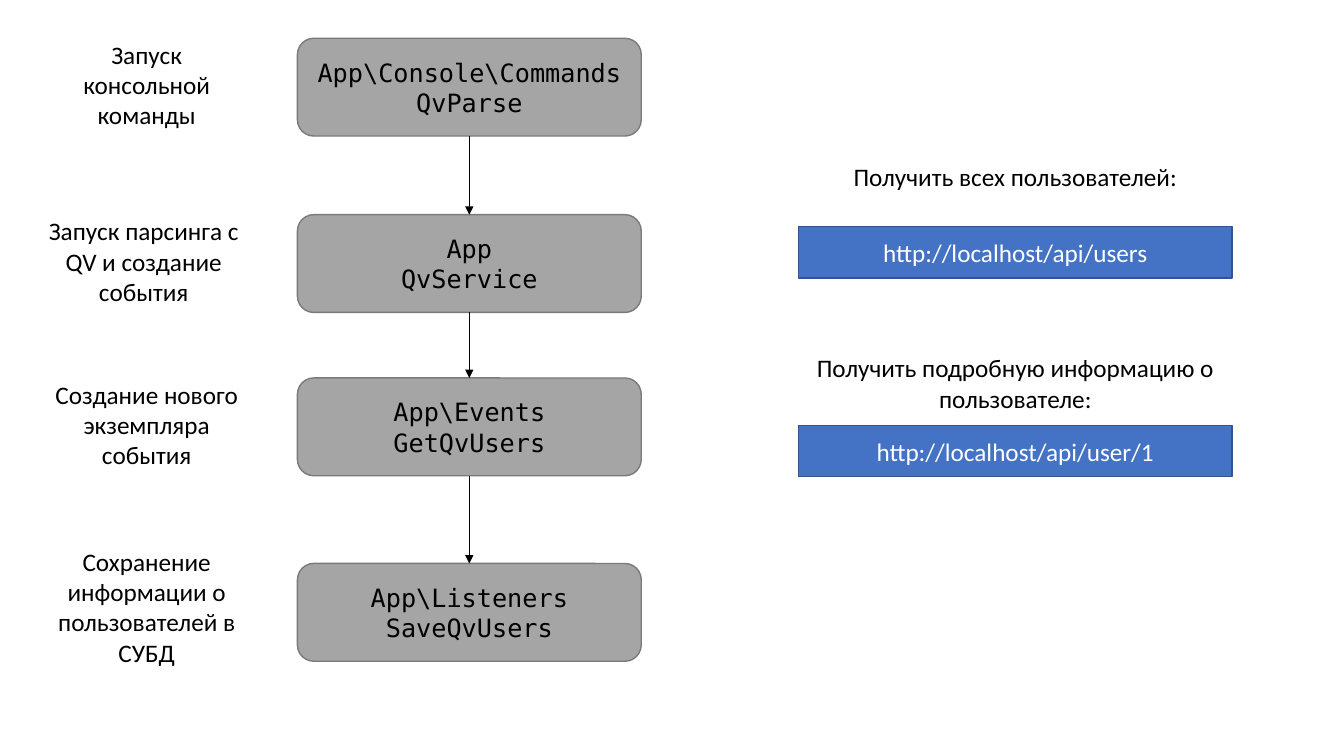
from itertools import pairwise

from lxml.etree import SubElement
from pptx import Presentation
from pptx.dml.color import RGBColor
from pptx.enum.shapes import MSO_CONNECTOR as Connector, MSO_SHAPE as Preset
from pptx.enum.text import MSO_ANCHOR as Anchor, PP_ALIGN as Align
from pptx.oxml.ns import qn
from pptx.util import Inches, Pt

BLACK = RGBColor(0x00, 0x00, 0x00)
WHITE = RGBColor(0xFF, 0xFF, 0xFF)
GRAY = RGBColor(0xA5, 0xA5, 0xA5)
GRAY_EDGE = RGBColor(0x7A, 0x7A, 0x7A)
BLUE = RGBColor(0x44, 0x72, 0xC4)
BLUE_EDGE = RGBColor(0x32, 0x54, 0x91)
SANS, MONO = "Calibri", "DejaVu Sans Mono"

STEPS = [
    (0.38, ["App\\Console\\Commands", "QvParse"],
     0.36, 0.34, 1.01, "Запуск консольной команды"),
    (2.13, ["App", "QvService"],
     0.33, 2.09, 1.01, "Запуск парсинга с QV и создание события"),
    (3.75, ["App\\Events", "GetQvUsers"],
     0.36, 3.71, 1.01, "Создание нового экземпляра события"),
    (5.59, ["App\\Listeners", "SaveQvUsers"],
     0.36, 5.37, 1.31, "Сохранение информации о пользователей в СУБД"),
]
ENDPOINTS = [
    (1.55, 0.4, "Получить всех пользователей:", 2.25, "http://localhost/api/users"),
    (3.45, 0.71, "Получить подробную информацию о пользователе:",
     4.22, "http://localhost/api/user/1"),
]
STEP_LEFT, STEP_WIDTH, STEP_HEIGHT = 2.95, 3.41, 0.97
LABEL_WIDTH = 2.19
API_LEFT, API_WIDTH, URL_HEIGHT = 7.92, 4.3, 0.51

prs = Presentation()
prs.slide_width, prs.slide_height = Inches(13.33), Inches(7.5)
slide = prs.slides.add_slide(prs.slide_layouts[6])


def write(shape, lines, font_name, color):
    frame = shape.text_frame
    frame.word_wrap = True
    frame.text = "\n".join(lines)
    for paragraph in frame.paragraphs:
        paragraph.alignment = Align.CENTER
        paragraph.font.name = font_name
        paragraph.font.size = Pt(18)
        paragraph.font.color.rgb = color


def add_label(text, *box):
    write(slide.shapes.add_textbox(*map(Inches, box)), [text], SANS, BLACK)


def add_block(preset, lines, fill, edge, font_name, color, *box):
    block = slide.shapes.add_shape(preset, *map(Inches, box))
    block.shadow.inherit = False
    block.fill.solid()
    block.fill.fore_color.rgb = fill
    block.line.color.rgb = edge
    block.line.width = Pt(1)
    block.text_frame.vertical_anchor = Anchor.MIDDLE
    write(block, lines, font_name, color)
    return block


def add_arrow(upper, lower):
    arrow = slide.shapes.add_connector(Connector.STRAIGHT, 0, 0, 0, 0)
    arrow.begin_connect(upper, 2)
    arrow.end_connect(lower, 0)
    arrow.line.color.rgb = BLACK
    arrow.line.width = Pt(0.5)
    SubElement(arrow.line._get_or_add_ln(), qn("a:tailEnd"), type="triangle")
    SubElement(arrow._element.spPr, qn("a:effectLst"))


step_blocks = []
for step_top, code, label_left, label_top, label_height, label in STEPS:
    step_blocks.append(add_block(
        Preset.ROUNDED_RECTANGLE, code, GRAY, GRAY_EDGE, MONO, BLACK,
        STEP_LEFT, step_top, STEP_WIDTH, STEP_HEIGHT))
    add_label(label, label_left, label_top, LABEL_WIDTH, label_height)

for upper, lower in pairwise(step_blocks):
    add_arrow(upper, lower)

for caption_top, caption_height, caption, url_top, url in ENDPOINTS:
    add_label(caption, API_LEFT, caption_top, API_WIDTH, caption_height)
    add_block(Preset.RECTANGLE, [url], BLUE, BLUE_EDGE, SANS, WHITE,
              API_LEFT, url_top, API_WIDTH, URL_HEIGHT)

prs.save("out.pptx")
